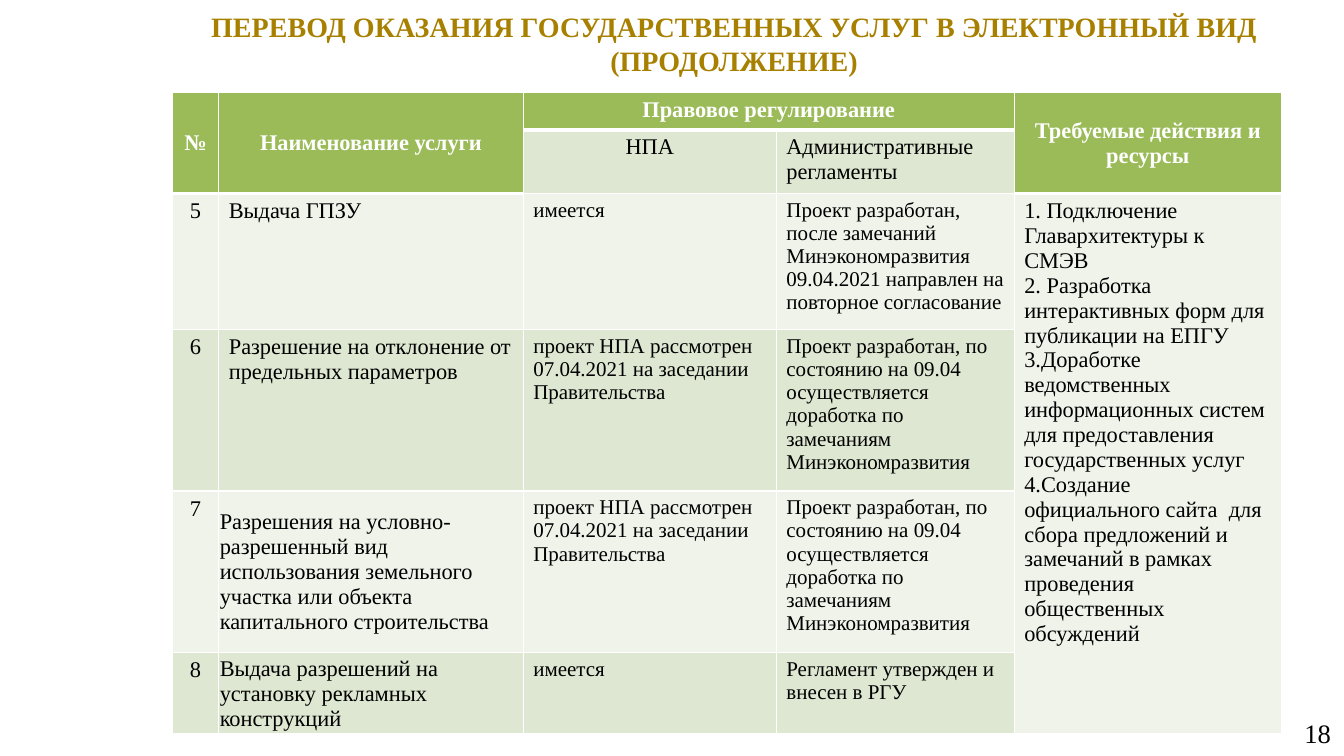
from pptx import Presentation
from pptx.dml.color import RGBColor
from pptx.enum.text import MSO_ANCHOR, PP_ALIGN
from pptx.oxml import parse_xml
from pptx.oxml.ns import nsdecls
from pptx.util import Inches, Pt

FONT = "Times New Roman"
WHITE = RGBColor(0xFF, 0xFF, 0xFF)
BLACK = RGBColor(0, 0, 0)
GOLD = RGBColor(0xA8, 0x80, 0x00)
GREEN = RGBColor(0x9B, 0xBB, 0x59)
BANDS = RGBColor(0xEF, 0xF3, 0xEA), RGBColor(0xDE, 0xE7, 0xD1)

WIDTHS = [0.46, 3.02, 2.51, 2.36, 2.65]
HEIGHTS = [0.35, 0.59, 1.25, 1.48, 1.48, 0.74]
# First and last cell of each merged block
MERGES = [((0, 0), (1, 0)), ((0, 1), (1, 1)), ((0, 2), (0, 3)),
          ((0, 4), (1, 4)), ((2, 4), (5, 4))]

DRAFT = "проект НПА рассмотрен 07.04.2021 на заседании Правительства"
REWORK = ("Проект разработан, по состоянию на 09.04 осуществляется "
          "доработка по замечаниям Минэкономразвития")
ACTIONS = "\n".join([
    "1. Подключение Главархитектуры к СМЭВ",
    "2. Разработка интерактивных форм для публикации на ЕПГУ",
    "3.Доработке ведомственных информационных систем для предоставления "
    "государственных услуг",
    "4.Создание официального сайта  для сбора предложений и замечаний "
    "в рамках проведения общественных обсуждений",
])
ROWS = [
    ["№", "Наименование услуги", "Правовое регулирование", "",
     "Требуемые действия и ресурсы"],
    ["", "", "НПА", "Административные регламенты", ""],
    ["5", "Выдача ГПЗУ", "имеется",
     "Проект разработан, после замечаний Минэкономразвития 09.04.2021 "
     "направлен на повторное согласование", ACTIONS],
    ["6", "Разрешение на отклонение от предельных параметров",
     DRAFT, REWORK, ""],
    ["7", "Разрешения на условно-разрешенный вид использования земельного "
     "участка или объекта капитального строительства", DRAFT, REWORK, ""],
    ["8", "Выдача разрешений на установку рекламных конструкций", "имеется",
     "Регламент утвержден и внесен в РГУ", ""],
]


def style(frame, size, color, align, bold=False):
    for para in frame.paragraphs:
        para.alignment = align
        font = para.font
        font.name, font.size, font.bold = FONT, Pt(size), bold
        font.color.rgb = color


def add_text(slide, box, text, size, color, align, bold=False):
    frame = slide.shapes.add_textbox(*map(Inches, box)).text_frame
    frame.word_wrap = True
    frame.vertical_anchor = MSO_ANCHOR.MIDDLE
    frame.margin_left = frame.margin_right = Inches(0.13)
    frame.margin_top = frame.margin_bottom = Inches(0.07)
    frame.text = text
    style(frame, size, color, align, bold)


def is_head(row, col):
    return row == 0 or row == 1 and col in (0, 1, 4)


def set_edges(cell, top, base):
    props = cell._tc.get_or_add_tcPr()
    for side, width in zip("LRTB", (1, 1, top, base)):
        props.append(parse_xml(
            f'<a:ln{side} {nsdecls("a")} w="{Pt(width)}"><a:solidFill>'
            f'<a:srgbClr val="{WHITE}"/></a:solidFill></a:ln{side}>'))


def fill_cell(cell, row, col):
    head = is_head(row, col)
    # A thick rule parts the header from the cells below it
    above = row > 0 and is_head(row - 1, col) and not head
    below = head and not is_head(row + 1, col)
    set_edges(cell, 3 if above else 1, 3 if below else 1)
    cell.fill.solid()
    cell.fill.fore_color.rgb = GREEN if head else BANDS[row % 2]

    cell.text = ROWS[row][col]
    small = row > 1 and col in (2, 3)
    center = head or col == 0 or (row, col) == (1, 2)
    style(cell.text_frame, 15 if small else 16, WHITE if head else BLACK,
          PP_ALIGN.CENTER if center else PP_ALIGN.LEFT, head)

    tight = row > 3 and col == 1
    if tight:
        cell.margin_left = cell.margin_right = cell.margin_top = Inches(0.01)
        cell.margin_bottom = 0
    if tight or head and col in (0, 1, 4):
        cell.vertical_anchor = MSO_ANCHOR.MIDDLE


def add_grid(slide):
    table = slide.shapes.add_table(
        len(HEIGHTS), len(WIDTHS), Inches(1.71), Inches(0.92),
        Inches(sum(WIDTHS)), Inches(sum(HEIGHTS))).table
    for col, width in enumerate(WIDTHS):
        table.columns[col].width = Inches(width)
    for row, height in enumerate(HEIGHTS):
        table.rows[row].height = Inches(height)
        for col in range(len(WIDTHS)):
            fill_cell(table.cell(row, col), row, col)
    for first, last in MERGES:
        table.cell(*first).merge(table.cell(*last))


def main():
    deck = Presentation()
    deck.slide_width, deck.slide_height = Inches(13.33), Inches(7.5)
    slide = deck.slides.add_slide(deck.slide_layouts[6])

    # Page number
    add_text(slide, (10.22, 7.07, 3.11, 0.4), "18", 19, BLACK, PP_ALIGN.RIGHT)
    # Title
    add_text(slide, (1.56, -0.07, 11.44, 1),
             "ПЕРЕВОД ОКАЗАНИЯ ГОСУДАРСТВЕННЫХ УСЛУГ В ЭЛЕКТРОННЫЙ ВИД "
             "(ПРОДОЛЖЕНИЕ)", 20, GOLD, PP_ALIGN.CENTER, True)
    # Table of services
    add_grid(slide)

    deck.save("out.pptx")


if __name__ == "__main__":
    main()
